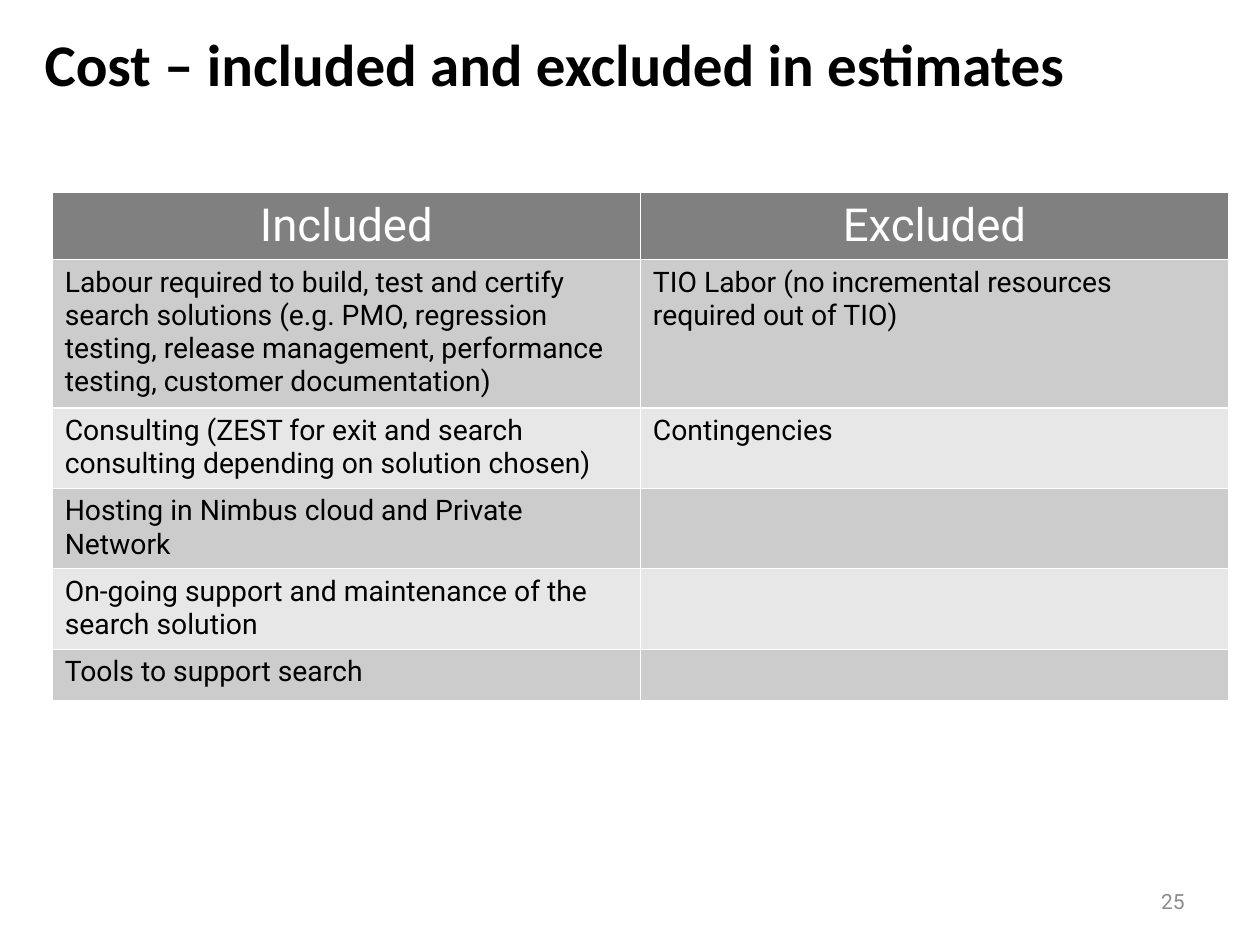
from lxml import etree
from pptx import Presentation
from pptx.dml.color import RGBColor
from pptx.enum.text import MSO_ANCHOR, PP_ALIGN
from pptx.oxml.ns import qn
from pptx.util import Pt

LEFT, CENTER, RIGHT = PP_ALIGN.LEFT, PP_ALIGN.CENTER, PP_ALIGN.RIGHT
MIDDLE = MSO_ANCHOR.MIDDLE
BLACK = RGBColor(0x00, 0x00, 0x00)
WHITE = RGBColor(0xFF, 0xFF, 0xFF)
HEADER_GRAY = RGBColor(0x80, 0x80, 0x80)
NUMBER_GRAY = RGBColor(0x8C, 0x8C, 0x8C)
BANDS = (RGBColor(0xCC, 0xCC, 0xCC), RGBColor(0xE7, 0xE7, 0xE7))

HEADERS = ("Included", "Excluded")
COSTS = (
    ("Labour required to build, test and certify search solutions (e.g. PMO, regression "
     "testing, release management, performance testing, customer documentation)",
     "TIO Labor (no incremental resources required out of TIO)"),
    ("Consulting (ZEST for exit and search consulting depending on solution chosen)",
     "Contingencies"),
    ("Hosting in Nimbus cloud and Private Network", ""),
    ("On-going support and maintenance of the search solution", ""),
    ("Tools to support search", ""),
)
ROW_HEIGHTS = (54.3, 119.5, 64.8, 64.8, 64.8, 41.5)


class SlideBuilder:
    """Draws titles, labels and tables on one page in a shared style."""

    heading_font = "Calibri"
    body_font = "Roboto"
    margin_x, margin_y = Pt(10.2), Pt(5.1)

    def __init__(self, page):
        self.page = page

    def set_text(self, paragraph, text, size, color, align=LEFT, font=None, bold=False):
        paragraph.text = text
        paragraph.alignment = align
        paragraph.font.name = font or self.body_font
        paragraph.font.size = Pt(size)
        paragraph.font.bold = bold
        paragraph.font.color.rgb = color

    def set_margins(self, holder):
        holder.margin_left = holder.margin_right = self.margin_x
        holder.margin_top = holder.margin_bottom = self.margin_y

    def label(self, text, left, top, width, height, size, color, **style):
        box = self.page.shapes.add_textbox(Pt(left), Pt(top), Pt(width), Pt(height))
        frame = box.text_frame
        frame.word_wrap = True
        frame.vertical_anchor = MIDDLE
        self.set_margins(frame)
        self.set_text(frame.paragraphs[0], text, size, color, **style)

    def title(self, text, left, top, width, height):
        self.label(text, left, top, width, height, 48, BLACK,
                   font=self.heading_font, bold=True)

    def border(self, cell):
        properties = cell._tc.get_or_add_tcPr()
        for position, side in enumerate(("lnL", "lnR", "lnT", "lnB")):
            line = etree.Element(qn(f"a:{side}"), w=str(Pt(1)))
            fill = etree.SubElement(line, qn("a:solidFill"))
            etree.SubElement(fill, qn("a:srgbClr"), val=str(WHITE))
            properties.insert(position, line)

    def cell(self, cell, text, fill, size, color, align=LEFT):
        self.set_margins(cell)
        cell.fill.solid()
        cell.fill.fore_color.rgb = fill
        self.border(cell)
        self.set_text(cell.text_frame.paragraphs[0], text, size, color, align)

    def table(self, headers, rows, left, top, width, heights):
        frame = self.page.shapes.add_table(len(rows) + 1, len(headers), Pt(left), Pt(top),
                                           Pt(width), Pt(sum(heights)))
        table = frame.table
        for row, height in zip(table.rows, heights):
            row.height = Pt(height)
        for column, header in enumerate(headers):
            self.cell(table.cell(0, column), header, HEADER_GRAY, 37, WHITE, CENTER)
        for index, texts in enumerate(rows):
            for column, text in enumerate(texts):
                self.cell(table.cell(index + 1, column), text,
                          BANDS[index % len(BANDS)], 23, BLACK)


def main():
    deck = Presentation()
    deck.slide_width, deck.slide_height = Pt(1024), Pt(768)
    builder = SlideBuilder(deck.slides.add_slide(deck.slide_layouts[6]))
    builder.title("Cost – included and excluded in estimates", 26, 0, 998, 102)
    builder.label("25", 926, 711.5, 47, 41, 17, NUMBER_GRAY, align=RIGHT)
    builder.table(HEADERS, COSTS, 42.5, 156.5, 956, ROW_HEIGHTS)
    deck.save("out.pptx")


if __name__ == "__main__":
    main()
